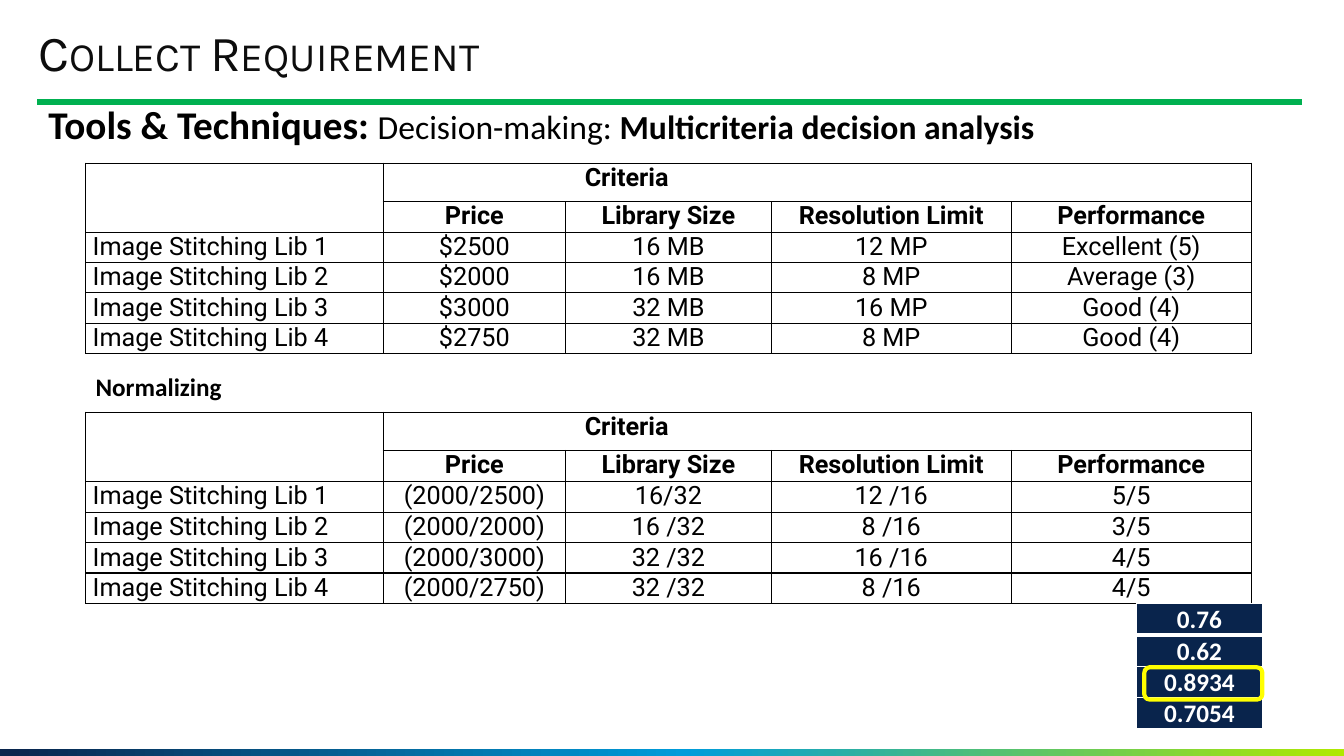
import pptx
import pptx.dml.color
import pptx.enum.shapes
import pptx.enum.text
import pptx.oxml.ns
import pptx.util
from lxml import etree

Inches = pptx.util.Inches
Pt = pptx.util.Pt
Align = pptx.enum.text.PP_ALIGN
Anchor = pptx.enum.text.MSO_ANCHOR
Shapes = pptx.enum.shapes.MSO_SHAPE
qn = pptx.oxml.ns.qn

COLORS = {
    "ink": "000000",
    "title": "0D0D0D",
    "paper": "FFFFFF",
    "navy": "09244C",
    "sky": "009CDA",
    "lime": "B0E900",
    "green": "00B050",
    "yellow": "FFFF00",
}


def rgb(name):
    return pptx.dml.color.RGBColor.from_string(COLORS[name])


def write(paragraph, text, font="Calibri", size=18, color="ink", bold=False, small_caps=False):
    run = paragraph.add_run()
    run.text = text
    run.font.name = font
    run.font.size = Pt(size)
    run.font.bold = bold
    run.font.color.rgb = rgb(color)
    if small_caps:
        run.font._element.set("cap", "small")
    return run


class SlideBuilder:
    def __init__(self, presentation):
        self.slide = presentation.slides.add_slide(presentation.slide_layouts[1])

    def placeholder(self, index, box, anchor, margins=None):
        shape = self.slide.placeholders[index]
        shape.left, shape.top, shape.width, shape.height = map(Inches, box)
        frame = shape.text_frame
        frame.auto_size = pptx.enum.text.MSO_AUTO_SIZE.NONE
        frame.vertical_anchor = anchor
        frame.word_wrap = True
        if margins is not None:
            frame.margin_left = frame.margin_right = Inches(margins)
            frame.margin_top = frame.margin_bottom = Inches(margins)
        paragraph = frame.paragraphs[0]
        properties = paragraph._p.get_or_add_pPr()
        properties.set("marL", "0")
        properties.set("indent", "0")
        etree.SubElement(properties, qn("a:buNone"))
        paragraph.alignment = Align.LEFT
        paragraph.line_spacing = 0.9
        paragraph.space_before = Pt(0)
        return paragraph

    def text(self, box, text, **style):
        frame = self.slide.shapes.add_textbox(*map(Inches, box)).text_frame
        frame.word_wrap = True
        write(frame.paragraphs[0], text, **style)

    def shape(self, kind, box):
        shape = self.slide.shapes.add_shape(kind, *map(Inches, box))
        shape.shadow.inherit = False
        return shape

    def gradient_bar(self, box, stops):
        bar = self.shape(Shapes.RECTANGLE, box)
        bar.line.fill.background()
        bar.fill.gradient()
        bar.fill.gradient_angle = 0
        stop_list = bar._element.spPr.find(qn("a:gradFill")).find(qn("a:gsLst"))
        for stop in list(stop_list):
            stop_list.remove(stop)
        for percent, color in stops:
            stop = etree.SubElement(stop_list, qn("a:gs"), pos=str(percent * 1000))
            etree.SubElement(stop, qn("a:srgbClr"), val=COLORS[color])

    def highlight(self, box, color, width):
        frame = self.shape(Shapes.ROUNDED_RECTANGLE, box)
        frame.fill.background()
        frame.line.color.rgb = rgb(color)
        frame.line.width = Pt(width)

    def rule(self, left, right, top, color, width):
        line = self.slide.shapes.add_connector(
            pptx.enum.shapes.MSO_CONNECTOR.STRAIGHT,
            Inches(left), Inches(top), Inches(right), Inches(top))
        line.line.color.rgb = rgb(color)
        line.line.width = Pt(width)
        etree.SubElement(line._element.spPr, qn("a:effectLst"))

    def cell_borders(self, cell, color, bottom):
        properties = cell._tc.get_or_add_tcPr()
        for side, width in (("L", 1), ("R", 1), ("T", 1), ("B", bottom)):
            line = etree.SubElement(properties, qn(f"a:ln{side}"), w=str(Pt(width)))
            fill = etree.SubElement(line, qn("a:solidFill"))
            etree.SubElement(fill, qn("a:srgbClr"), val=COLORS[color])

    def table(self, left, top, widths, heights, border, margins, fill=None, first_bottom=1):
        table = self.slide.shapes.add_table(
            len(heights), len(widths), Inches(left), Inches(top),
            Inches(sum(widths)), Inches(sum(heights))).table
        table.first_row = table.horz_banding = False
        for column, width in zip(table.columns, widths):
            column.width = Inches(width)
        for index, (row, height) in enumerate(zip(table.rows, heights)):
            row.height = Inches(height)
            for cell in row.cells:
                cell.margin_left = cell.margin_right = Inches(margins[0])
                cell.margin_top, cell.margin_bottom = map(Inches, margins[1:])
                self.cell_borders(cell, border, 1 if index else first_bottom)
                if fill:
                    cell.fill.solid()
                    cell.fill.fore_color.rgb = rgb(fill)
                else:
                    cell.fill.background()
        return table

    def cell(self, cell, text, alignment=Align.CENTER, **style):
        paragraph = cell.text_frame.paragraphs[0]
        paragraph.alignment = alignment
        write(paragraph, text, **style)

    def criteria_table(self, top, heights, values):
        table = self.table(0.85, top, [2.95, 1.81, 2.04, 2.38, 2.38], heights,
                           "ink", (0.07, 0, 0))
        table.cell(0, 0).merge(table.cell(1, 0))
        table.cell(0, 1).merge(table.cell(0, 4))
        heading = table.cell(0, 1)
        properties = heading.text_frame.paragraphs[0]._p.get_or_add_pPr()
        tabs = etree.SubElement(properties, qn("a:tabLst"))
        etree.SubElement(tabs, qn("a:tab"), pos=str(Inches(1.93)), algn="l")
        self.cell(heading, "\tCriteria", Align.JUSTIFY, font="Roboto", bold=True)
        criteria = ["Price", "Library Size", "Resolution Limit", "Performance"]
        for column, name in enumerate(criteria, 1):
            self.cell(table.cell(1, column), name, font="Roboto", bold=True)
        for number, row_values in enumerate(values, 1):
            row = number + 1
            self.cell(table.cell(row, 0), f"Image Stitching Lib {number}",
                      Align.JUSTIFY, font="Roboto")
            for column, value in enumerate(row_values, 1):
                self.cell(table.cell(row, column), value, font="Roboto")

    def score_table(self, scores):
        table = self.table(11.27, 5.99, [1.25], [0.31] * len(scores), "paper",
                           (0.01, 0.01, 0), fill="navy", first_bottom=3)
        for row, score in enumerate(scores):
            cell = table.cell(row, 0)
            cell.vertical_anchor = Anchor.MIDDLE
            self.cell(cell, score, color="paper", bold=True)


def main():
    presentation = pptx.Presentation()
    presentation.slide_width = Inches(13.33)
    presentation.slide_height = Inches(7.5)
    builder = SlideBuilder(presentation)

    builder.gradient_bar((0, 7.43, 13.33, 0.07), [(0, "navy"), (51, "sky"), (100, "lime")])
    builder.rule(0.37, 12.91, 1.01, "green", 4.5)

    title = builder.placeholder(0, (0.38, 0.27, 11.19, 0.55), Anchor.MIDDLE, margins=0)
    write(title, "Collect Requirement", font="Karla", size=36, color="title", small_caps=True)

    body = builder.placeholder(1, (0.38, 1, 12.53, 0.55), Anchor.TOP)
    write(body, "Tools & Techniques: ", size=28, bold=True)
    write(body, "Decision-making: ", size=24)
    write(body, "Multicriteria decision analysis", size=24, bold=True)

    builder.criteria_table(1.62, [0.38] + [0.3] * 5, [
        ("$2500", "16 MB", "12 MP", "Excellent (5)"),
        ("$2000", "16 MB", "8 MP", "Average (3)"),
        ("$3000", "32 MB", "16 MP", "Good (4)"),
        ("$2750", "32 MB", "8 MP", "Good (4)"),
    ])
    builder.criteria_table(4.09, [0.38, 0.3, 0.31, 0.3, 0.3, 0.3], [
        ("(2000/2500)", "16/32", "12 /16", "5/5"),
        ("(2000/2000)", "16 /32", "8 /16", "3/5"),
        ("(2000/3000)", "32 /32", "16 /16", "4/5"),
        ("(2000/2750)", "32 /32", "8 /16", "4/5"),
    ])
    builder.text((0.85, 3.63, 6.67, 0.4), "Normalizing", bold=True)
    builder.score_table(["0.76", "0.62", "0.8934", "0.7054"])
    builder.highlight((11.35, 6.62, 1.17, 0.32), "yellow", 3)

    presentation.save("out.pptx")


if __name__ == "__main__":
    main()
